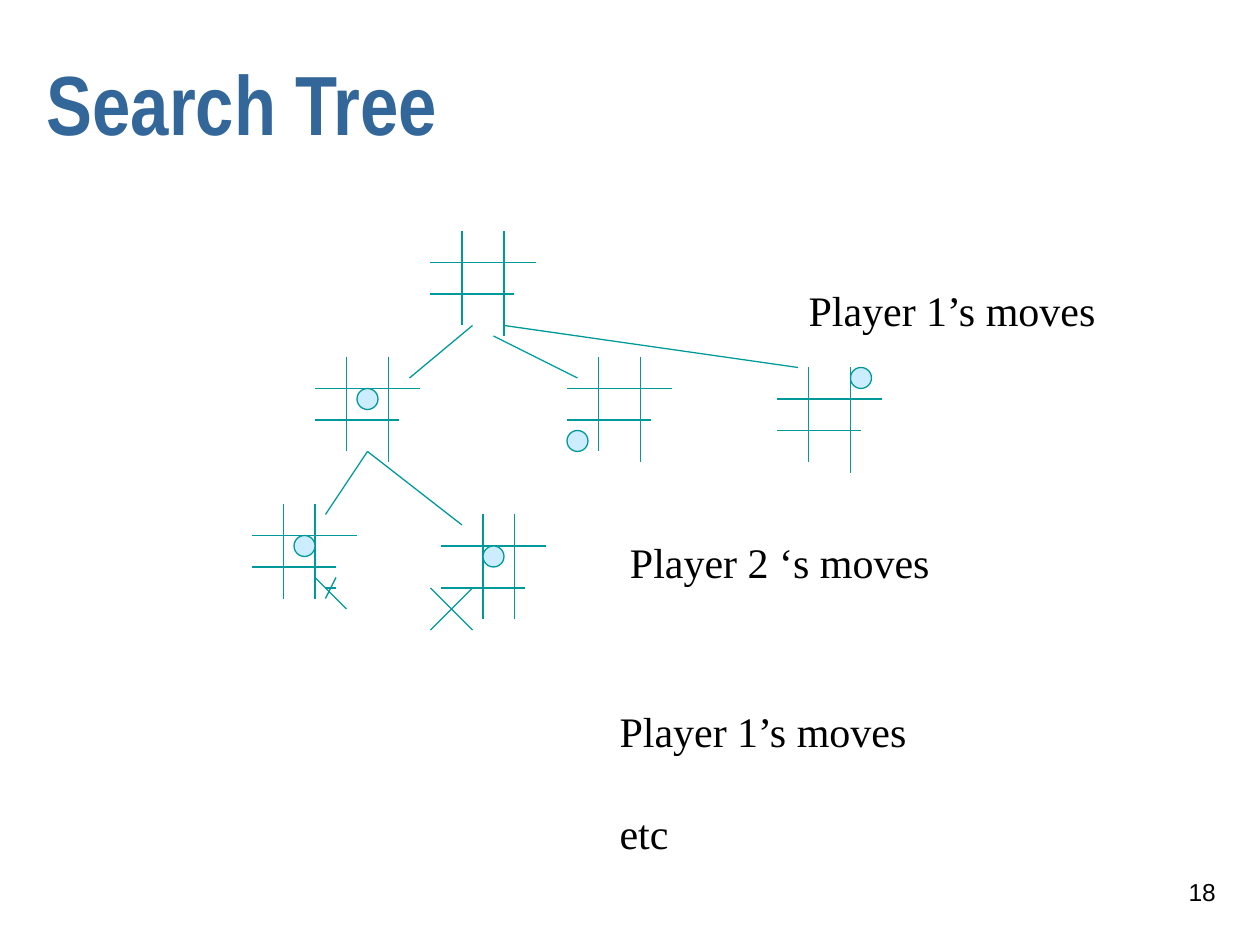
from lxml import etree
from pptx import Presentation
from pptx.dml.color import RGBColor
from pptx.enum.shapes import MSO_CONNECTOR, MSO_SHAPE
from pptx.enum.text import MSO_ANCHOR, PP_ALIGN
from pptx.oxml.ns import qn
from pptx.util import Cm, Pt

STRAIGHT, OVAL = MSO_CONNECTOR.STRAIGHT, MSO_SHAPE.OVAL
TOP, MIDDLE = MSO_ANCHOR.TOP, MSO_ANCHOR.MIDDLE
LEFT, RIGHT = PP_ALIGN.LEFT, PP_ALIGN.RIGHT

COLORS = {"title": "336699", "text": "010000", "line": "009999", "mark": "CCECFF"}
GRID = 2.54 / 12  # the drawing sits on a grid of twelve steps to the inch
LINE_WIDTH = Pt(0.75)

# Lines of each kind of board, as x1, y1, x2, y2 in grid steps from its corner
BOARD_LINES = {
    "wide": [(3, 0, 3, 9), (7, 0, 7, 10), (0, 3, 10, 3), (0, 6, 8, 6)],
    "narrow": [(3, 0, 3, 9), (6, 0, 6, 9), (0, 3, 10, 3), (0, 6, 8, 6)],
    "tall": [(4, 0, 4, 10), (7, 0, 7, 10), (0, 3, 10, 3), (0, 7, 8, 7)],
}

# Kind, corner, nought offset, cross strokes measured from the corner
BOARDS = [
    ("wide", (41, 22), None, []),
    ("wide", (30, 34), (4, 3), []),
    ("wide", (54, 34), (0, 7), []),
    ("wide", (74, 35), (7, 0), []),
    ("narrow", (24, 48), (4, 3), [(7, 8, 8, 8), (7, 9, 8, 7), (6, 7, 9, 10)]),
    ("tall", (42, 49), (4, 3), [(-1, 7, 3, 11), (3, 7, -1, 11)]),
]
NOUGHT_SIZE = 2

BRANCHES = [
    (45, 31, 39, 36), (47, 32, 55, 36), (48, 31, 76, 35),
    (35, 43, 31, 49), (35, 43, 44, 50),
]

# Paragraphs, left, top, width, height in cm
LABELS = [
    (["Player 1’s moves"], 16.05, 5.61, 6.32, 1.27),
    (["Player 2 ‘s moves"], 12.45, 10.69, 6.55, 1.27),
    (["Player 1’s moves", "etc"], 12.24, 14.1, 6.32, 3.3),
]


def color(name):
    return RGBColor.from_string(COLORS[name])


def add_text(page, paragraphs, left, top, width, height, *, font="Times New Roman",
             size=24, ink="text", bold=False, align=LEFT, anchor=TOP,
             wrap=False, line_spacing=None, gap=0):
    box = page.shapes.add_textbox(Cm(left), Cm(top), Cm(width), Cm(height))
    frame = box.text_frame
    frame.word_wrap = wrap
    frame.vertical_anchor = anchor
    for index, text in enumerate(paragraphs):
        para = frame.add_paragraph() if index else frame.paragraphs[0]
        para.alignment = align
        para.line_spacing = line_spacing
        if index:
            para.space_before = Pt(gap)
        span = para.add_run()
        span.text = text
        span.font.name = font
        span.font.size = Pt(size)
        span.font.bold = bold
        span.font.color.rgb = color(ink)


def add_line(page, ends, corner=(0, 0)):
    x1, y1, x2, y2 = ends
    x, y = corner
    points = [Cm(step * GRID) for step in (x + x1, y + y1, x + x2, y + y2)]
    line = page.shapes.add_connector(STRAIGHT, *points)
    line.line.color.rgb = color("line")
    line.line.width = LINE_WIDTH
    etree.SubElement(line._element.spPr, qn("a:effectLst"))


def add_nought(page, x, y):
    places = [Cm(step * GRID) for step in (x, y, NOUGHT_SIZE, NOUGHT_SIZE)]
    nought = page.shapes.add_shape(OVAL, *places)
    nought.shadow.inherit = False
    nought.fill.solid()
    nought.fill.fore_color.rgb = color("mark")
    nought.line.color.rgb = color("line")
    nought.line.width = LINE_WIDTH


def add_board(page, kind, corner, nought, cross):
    for ends in BOARD_LINES[kind] + cross:
        add_line(page, ends, corner)
    if nought:
        add_nought(page, corner[0] + nought[0], corner[1] + nought[1])


def main():
    deck = Presentation()
    deck.slide_width, deck.slide_height = Cm(25.4), Cm(19.05)
    page = deck.slides.add_slide(deck.slide_layouts[6])

    add_text(page, ["Search Tree"], 0.69, 0.71, 23.8, 3.18, font="Arial Narrow",
             size=48, ink="title", bold=True, anchor=MIDDLE, wrap=True,
             line_spacing=0.7)
    for board in BOARDS:
        add_board(page, *board)
    for branch in BRANCHES:
        add_line(page, branch)
    for label in LABELS:
        add_text(page, *label, gap=29.5)
    add_text(page, ["18"], 19.48, 17.35, 5.28, 1.27, font="Arial", size=14,
             align=RIGHT, anchor=MIDDLE, wrap=True)

    deck.save("out.pptx")


if __name__ == "__main__":
    main()
